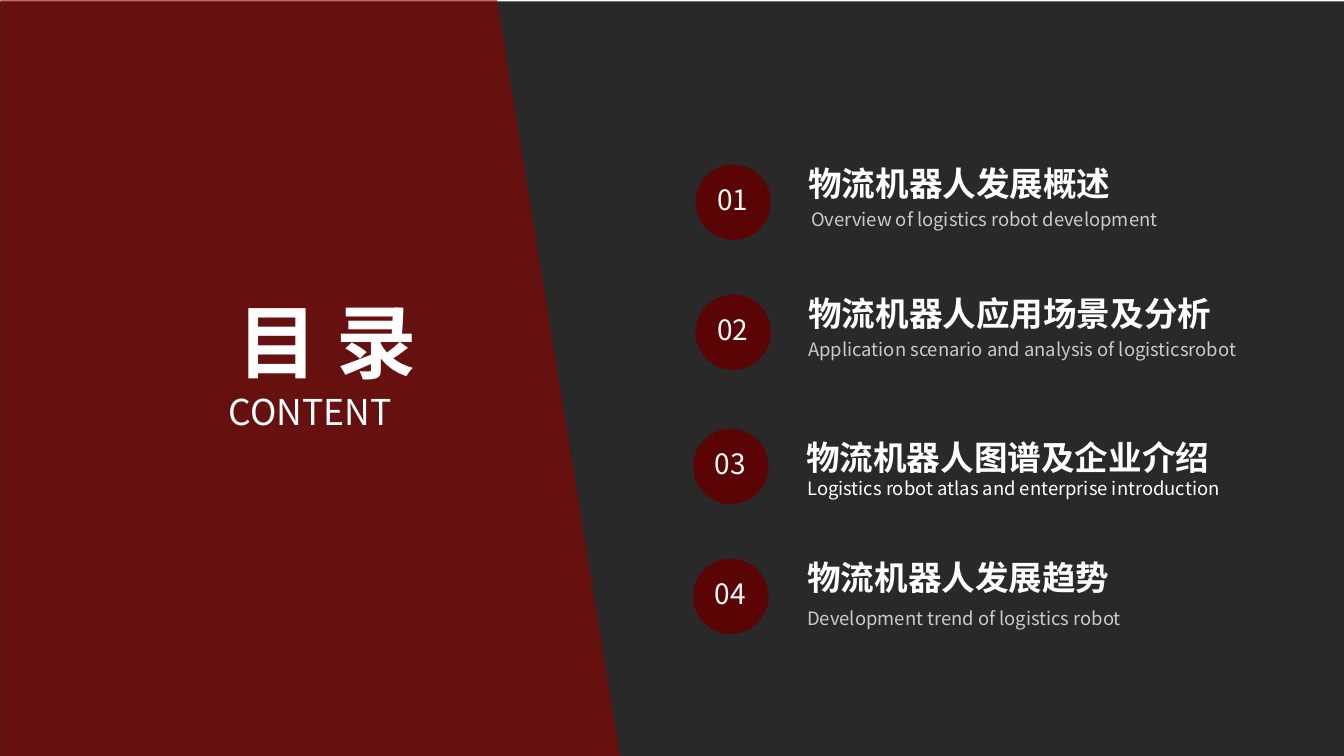
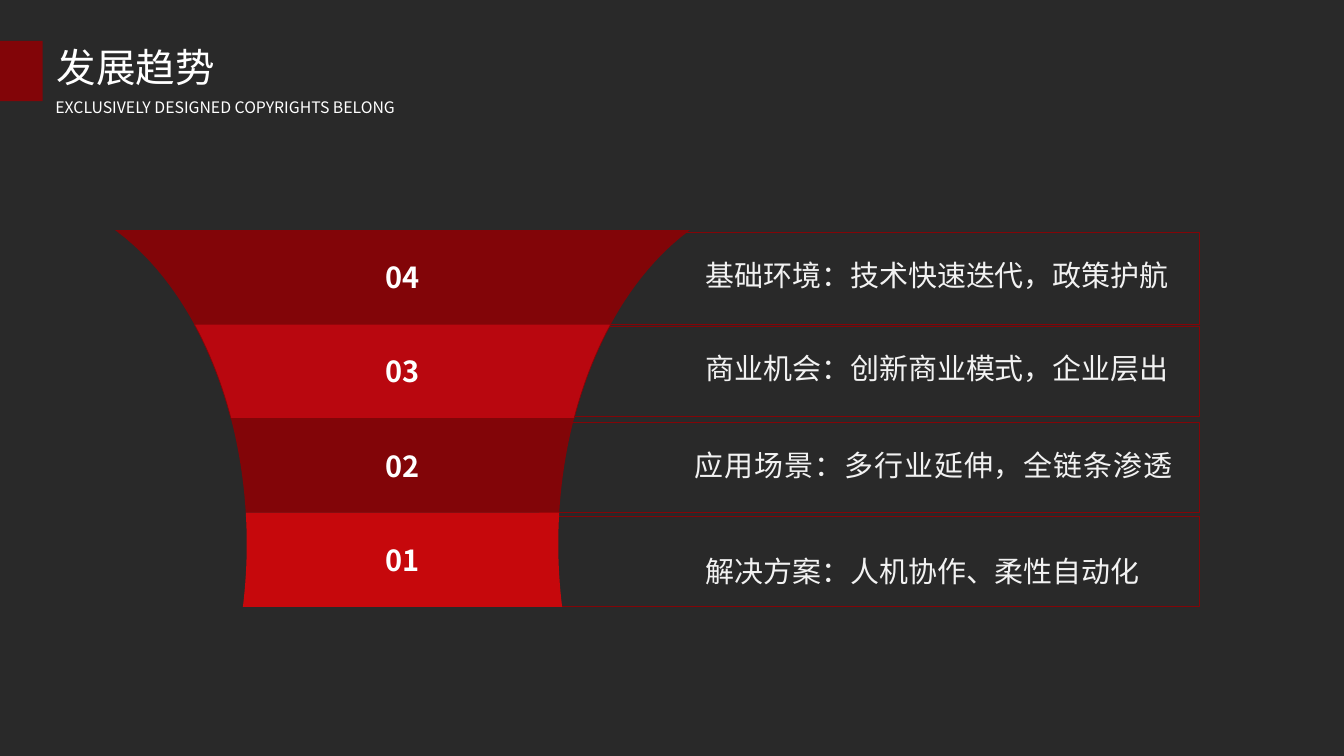
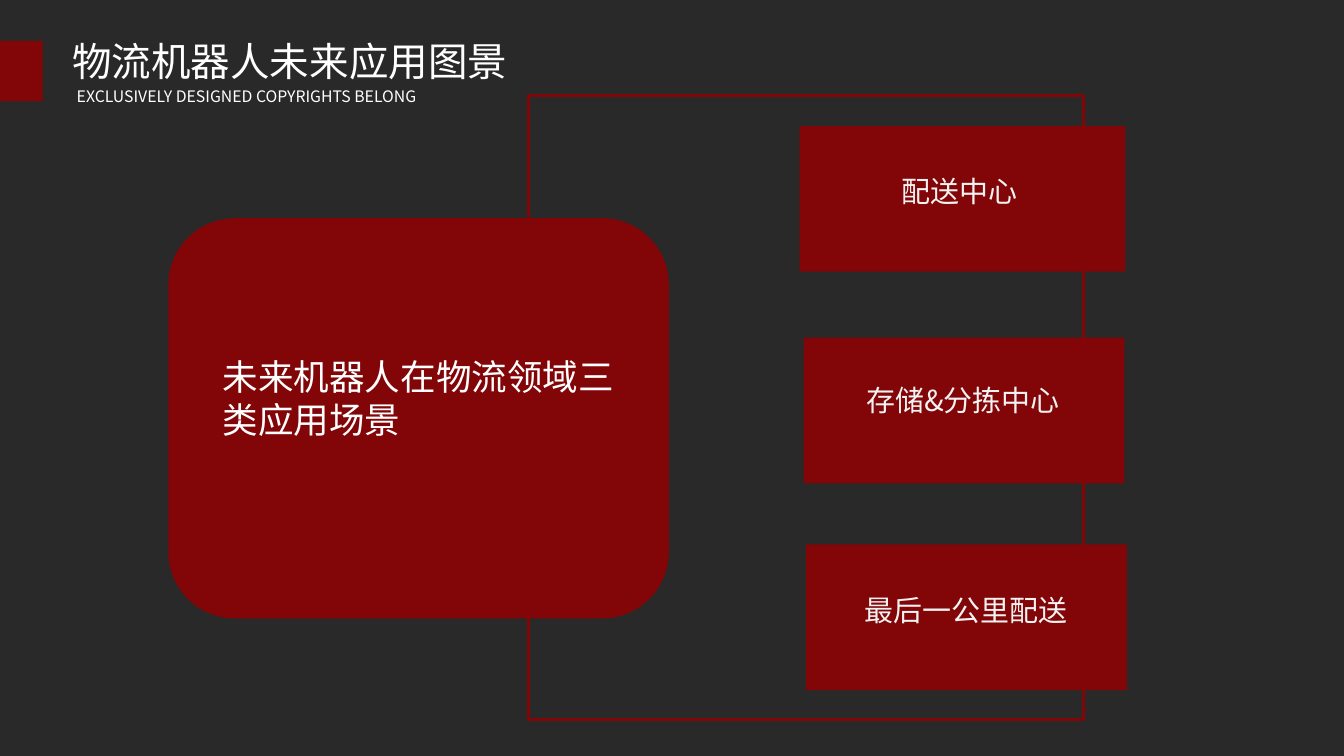
"""Build three slides on the outlook for logistics robots."""
from dataclasses import dataclass
from math import sqrt

from lxml.etree import SubElement
from pptx import Presentation
from pptx.dml.color import RGBColor
from pptx.enum.shapes import MSO_SHAPE as Preset
from pptx.enum.text import MSO_ANCHOR as Anchor, MSO_AUTO_SIZE as AutoSize, PP_ALIGN as Align
from pptx.oxml.ns import qn
from pptx.util import Inches, Pt


@dataclass(frozen=True)
class Theme:
    ground: str = "292929"
    white: str = "FFFFFF"
    soft: str = "F2F2F2"
    muted: str = "CBCBCB"
    panel: str = "940000"
    badge: str = "5B0405"
    red: str = "820508"
    bright: str = "B9070F"
    vivid: str = "C6080C"
    font: str = "Noto Sans CJK SC"
    heading_font: str = "Arial"
    cover: float = 122
    title: float = 60
    lead: float = 54
    heading: float = 51
    item: float = 44
    number: float = 42.5
    detail: float = 28
    strap: float = 24


theme = Theme()
styles = {
    "cover": dict(size=theme.cover, bold=True),
    "title": dict(size=theme.title),
    "lead": dict(size=theme.lead),
    "heading": dict(size=theme.heading, bold=True, font=theme.heading_font),
    "detail": dict(size=theme.detail, color=theme.muted),
    "detail_bright": dict(size=theme.detail),
    "item": dict(size=theme.item, color=theme.soft),
    "item_wide": dict(size=theme.item, color=theme.soft, tracking=150),
    "tier": dict(size=theme.item, bold=True),
    "number": dict(size=theme.number),
    "strap": dict(size=theme.strap),
}

deck = Presentation()
deck.slide_width, deck.slide_height = Inches(28.35), Inches(15.94)
COLUMN, ROW = deck.slide_width / 100, deck.slide_height / 100


def area(left, top, width, height):
    return [round(n * unit) for n, unit in zip((left, top, width, height), (COLUMN, ROW, COLUMN, ROW))]


def write(frame, rows, align=Align.LEFT, anchor=Anchor.TOP, insets=(0.35, 0.31, 0.35, 0.31)):
    left, top, right, bottom = area(*insets)
    layout = dict(word_wrap=True, auto_size=AutoSize.NONE, vertical_anchor=anchor,
                  margin_left=left, margin_top=top, margin_right=right, margin_bottom=bottom)
    for name, value in layout.items():
        setattr(frame, name, value)
    for index, (text, style_name) in enumerate(rows):
        style = styles[style_name]
        paragraph = frame.add_paragraph() if index else frame.paragraphs[0]
        paragraph.alignment = align
        run = paragraph.add_run()
        run.text = text
        looks = dict(size=Pt(style["size"]), bold=style.get("bold", False), name=style.get("font", theme.font))
        for name, value in looks.items():
            setattr(run.font, name, value)
        run.font.color.rgb = RGBColor.from_string(style.get("color", theme.white))
        properties = run._r.get_or_add_rPr()
        SubElement(properties, qn("a:ea")).set("typeface", theme.font)
        if "tracking" in style:
            properties.set("spc", str(style["tracking"]))


agenda, trends, scenes = [deck.slides.add_slide(deck.slide_layouts[n]) for n in (1, 1, 5)]
painted = []

plain = (0, 0, 0, 0)
blocks = [
    (slide, Preset.RECTANGLE, (0, top, 100, 100 - top), theme.ground, None, 0, None, plain)
    for slide, top in ((agenda, 0.19), (trends, 0), (scenes, 0))
]
blocks += [(slide, Preset.RECTANGLE, (0, 5.4, 3.17, 7.97), theme.red, None, 0, None, plain) for slide in (trends, scenes)]
blocks += [
    (agenda, Preset.FLOWCHART_MANUAL_INPUT, (-5.29, 9.16, 56.79, 82.12), theme.panel, None, 0, None, plain),
    (scenes, Preset.RECTANGLE, (39.33, 12.61, 41.27, 82.62), None, theme.red, 4.5, None, plain),
    (scenes, Preset.ROUNDED_RECTANGLE, (12.52, 28.86, 37.25, 52.95), theme.red, None, 0,
     ("未来机器人在物流领域三类应用场景", "lead"), (2.6, 0, 2.2, 5.4)),
]
blocks += [
    (agenda, Preset.OVAL, (left, top, 5.61, 9.97), theme.badge, None, 0, (f"{index:02}", "number"), (0, 0, 0.1, 0.85))
    for index, (left, top) in enumerate([(51.75, 21.77), (51.75, 38.96), (51.57, 56.71), (51.57, 73.9)], 1)
]
blocks += [
    (trends, Preset.RECTANGLE, (left, top, 89.2 - left, height), None, theme.red, 1, None, plain)
    for left, top, height in [(44.16, 30.68, 12.17), (39.05, 43.22, 11.92), (40.11, 55.83, 11.92), (39.05, 68.26, 11.92)]
]
blocks += [
    (scenes, Preset.RECTANGLE, (left, top, width, 19.26), theme.red, None, 0, (label, "item"), (0, 0, right, bottom))
    for label, left, top, width, right, bottom in [
        ("配送中心", 59.5, 16.69, 24.23, 0.45, 2.1),
        ("存储&分拣中心", 59.79, 44.67, 23.88, 0.15, 2.9),
        ("最后一公里配送", 59.96, 72.02, 23.88, 0, 1.9),
    ]
]

for slide, preset, place, fill, outline, weight, label, insets in blocks:
    block = slide.shapes.add_shape(preset, *area(*place))
    painted.append((block, fill, outline, weight))
    if label:
        align = Align.LEFT if label[1] == "lead" else Align.CENTER
        write(block.text_frame, [label], align, Anchor.MIDDLE, insets)
    if preset == Preset.FLOWCHART_MANUAL_INPUT:
        block.rotation = 90
        panel = block

CENTRE, WAIST, WAIST_ROW = 29.95, 11.59, 71.96
CURVE_WIDTH, CURVE_HEIGHT = 17.71, 46.42
FUNNEL_TOP, TIER_HEIGHT, STEPS = 30.43, 12.46, 12

for index, (label, fill, outline) in enumerate([
    ("04", theme.red, None),
    ("03", theme.bright, theme.red),
    ("02", theme.red, None),
    ("01", theme.vivid, None),
]):
    levels = [FUNNEL_TOP + TIER_HEIGHT * (index + step / STEPS) for step in range(STEPS + 1)]
    edge = [(WAIST + CURVE_WIDTH * (1 - sqrt(1 - ((WAIST_ROW - y) / CURVE_HEIGHT) ** 2)), y) for y in levels]
    silhouette = [(CENTRE + x, y) for x, y in edge] + [(CENTRE - x, y) for x, y in reversed(edge)]
    points = [(round(x * COLUMN), round(y * ROW)) for x, y in silhouette]
    builder = trends.shapes.build_freeform(*points[0])
    builder.add_line_segments(points[1:], close=True)
    tier = builder.convert_to_shape()
    write(tier.text_frame, [(label, "tier")], Align.CENTER, Anchor.MIDDLE)
    painted.append((tier, fill, outline, 1))

for shape, fill, outline, weight in painted:
    shape.shadow.inherit = False
    for paint, color in ((shape.fill, fill), (shape.line.fill, outline)):
        if color:
            paint.solid()
            paint.fore_color.rgb = RGBColor.from_string(color)
        else:
            paint.background()
    if outline:
        shape.line.width = Pt(weight)
SubElement(panel.element.spPr.find(qn("a:solidFill"))[0], qn("a:alpha")).set("val", "59000")

strap_line = "EXCLUSIVELY DESIGNED COPYRIGHTS BELONG"
for slide, title, style, align, title_place, strap, strap_style, strap_place in [
    (agenda, "目 录", "cover", Align.CENTER, (11.74, 38.39, 25.18, 13.49),
     "CONTENT", "lead", (16.68, 51.32, 15.73, 6.34)),
    (trends, "发展趋势", "title", Align.LEFT, (3.88, 5.4, 19.75, 6.96),
     strap_line, "strap", (3.77, 12.61, 29.74, 3.14)),
    (scenes, "物流机器人未来应用图景", "title", Align.LEFT, (5.04, 4.52, 35.06, 6.96),
     strap_line, "strap", (5.36, 11.17, 29.74, 3.14)),
]:
    heading = slide.shapes.title
    heading.left, heading.top, heading.width, heading.height = area(*title_place)
    heading.element.getparent().append(heading.element)
    write(heading.text_frame, [(title, style)], align)
    write(slide.shapes.add_textbox(*area(*strap_place)).text_frame, [(strap, strap_style)])

ASCENT, DESCENT = 0.712, 0.288
for slide, left, width, rows in [
    (agenda, 59.64, 35.63, [
        ("物流机器人发展概述", "heading", 25.64, 0.15),
        ("Overview of logistics robot development", "detail", 29.79, 0.36),
        ("物流机器人应用场景及分析", "heading", 42.82, 0.15),
        ("Application scenario and analysis of logisticsrobot", "detail", 46.97, 0.15),
        ("物流机器人图谱及企业介绍", "heading", 61.9, 0),
        ("Logistics robot atlas and enterprise introduction", "detail_bright", 65.37, 0.08),
        ("物流机器人发展趋势", "heading", 77.77, 0.08),
        ("Development trend of logistics robot", "detail", 82.49, 0.08),
    ]),
    (trends, 51.32, 37.92, [
        ("基础环境：技术快速迭代，政策护航", "item", 37.59, 0.81),
        ("商业机会：创新商业模式，企业层出", "item", 49.86, 0.81),
        ("应用场景：多行业延伸，全链条渗透", "item_wide", 62.71, 0),
        ("解决方案：人机协作、柔性自动化", "item", 76.76, 0.81),
    ]),
]:
    body = slide.placeholders[1]
    body.element.getparent().append(body.element)
    write(body.text_frame, [row[:2] for row in rows], insets=(0.35, 0, 0.35, 0))
    end = top = rows[0][2] * ROW - Pt(styles[rows[0][1]]["size"]) * ASCENT
    for paragraph, (text, style, baseline, indent) in zip(body.text_frame.paragraphs, rows):
        size = Pt(styles[style]["size"])
        start = baseline * ROW - size * ASCENT
        spacing = dict(line_spacing=size, space_before=Pt(round((start - end) / Pt(1), 1)), space_after=Pt(0))
        for name, value in spacing.items():
            setattr(paragraph, name, value)
        end = baseline * ROW + size * DESCENT
        properties = paragraph._p.get_or_add_pPr()
        properties.set("marL", str(round(indent * COLUMN)))
        properties.set("indent", "0")
        SubElement(properties, qn("a:buNone"))
    body.left, body.top, body.width, body.height = area(left, top / ROW, width, (end - top) / ROW)

deck.save("out.pptx")
